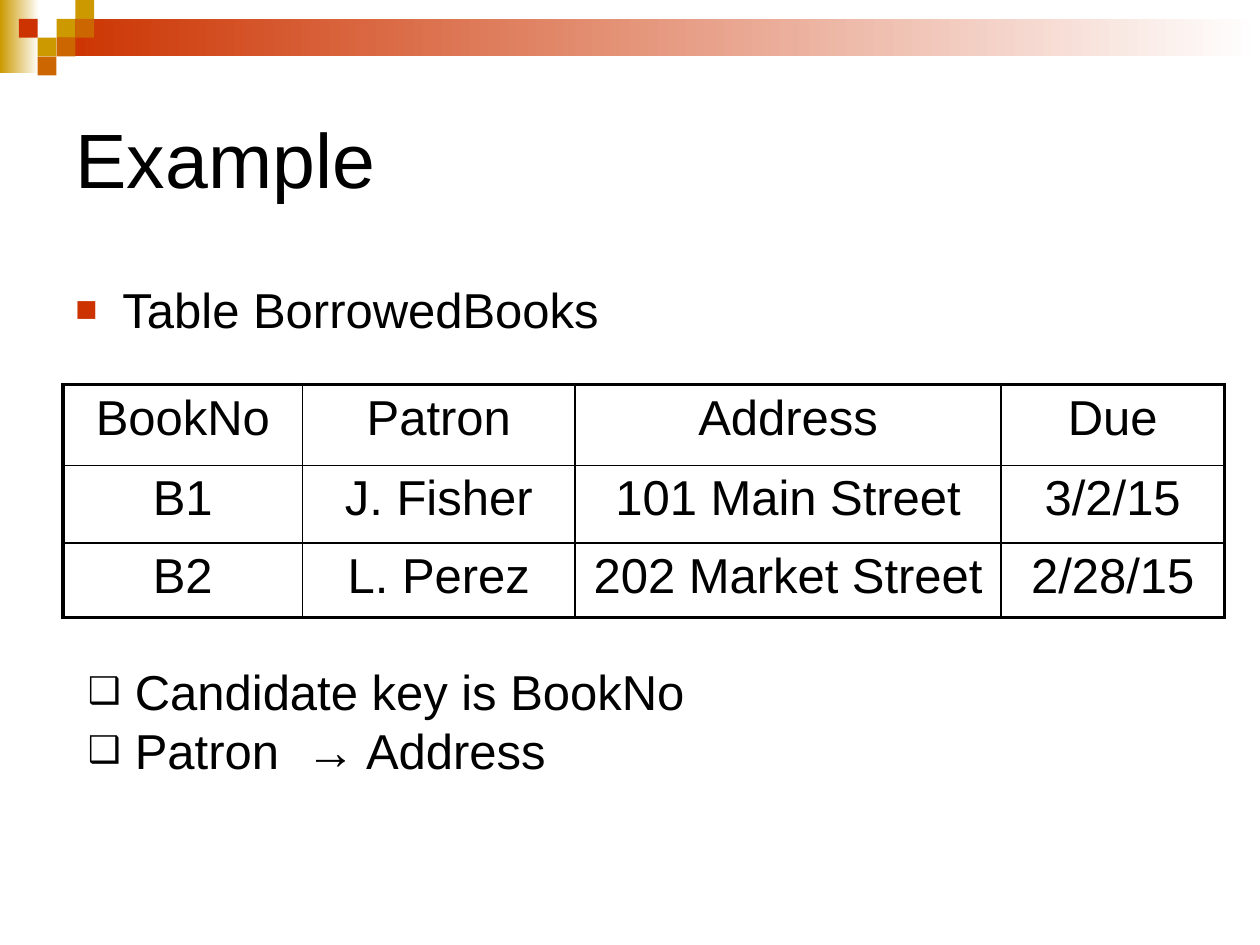
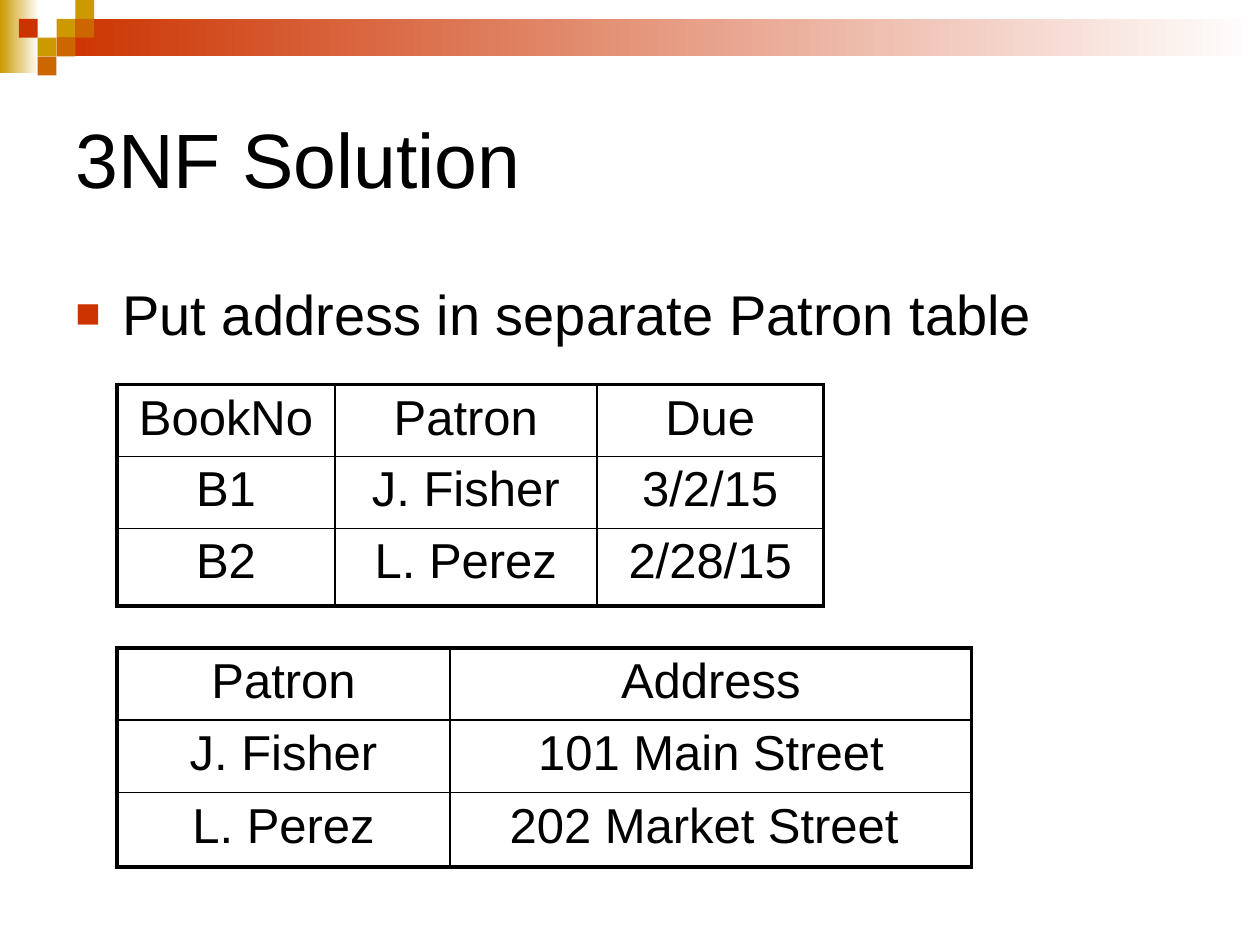
from dataclasses import dataclass

from lxml.etree import SubElement
from pptx import Presentation
from pptx.dml.color import RGBColor as RGB
from pptx.enum.shapes import MSO_SHAPE as Shape
from pptx.enum.text import MSO_ANCHOR as Anchor, PP_ALIGN as Align
from pptx.oxml import parse_xml
from pptx.oxml.ns import nsdecls, qn
from pptx.util import Cm, Pt


@dataclass(frozen=True)
class Theme:
    font: str = "Arial"
    ink: str = "000000"
    paper: str = "FFFFFF"
    gold: str = "CC9900"
    rust: str = "CC6600"
    red: str = "CC3300"
    title: int = 44
    lead: int = 32
    text: int = 28
    frame: float = 2.25
    rule: float = 1


class Deck:
    def __init__(self, theme):
        self.theme = theme
        self.prs = Presentation()
        self.prs.slide_width, self.prs.slide_height = Cm(25.4), Cm(19.05)
        self.slide = None

    def page(self, title):
        """Start a slide with its corner pattern and title."""
        self.slide = self.prs.slides.add_slide(self.prs.slide_layouts[5])
        self.header()
        box = self.slide.shapes.title
        box.left, box.top, box.width, box.height = Cm(1.27), Cm(1.27), Cm(22.86), Cm(3.81)
        frame = box.text_frame
        frame.text = title
        frame.vertical_anchor = Anchor.MIDDLE
        para = frame.paragraphs[0]
        para.alignment = Align.LEFT
        self.style(para, self.theme.title)

    def header(self):
        t, unit = self.theme, 0.38
        self.rect(0, 0, 0.79, 1.47, t.gold, fade=True)
        self.rect(3 * unit, unit, 25.4 - 3 * unit, 2 * unit, t.red, fade=True)
        # Mosaic squares as column, row, colour
        tiles = [(3, 1, t.gold), (4, 0, t.gold), (4, 1, t.rust), (2, 2, t.gold),
                 (1, 1, t.red), (3, 2, t.rust), (2, 3, t.rust)]
        for col, row, color in tiles:
            self.rect(col * unit, row * unit, unit, unit, color)

    def rect(self, x, y, w, h, color, fade=False):
        box = self.slide.shapes.add_shape(Shape.RECTANGLE, Cm(x), Cm(y), Cm(w), Cm(h))
        box.shadow.inherit = False
        box.line.fill.background()
        if fade:
            box.fill.gradient()
            box.fill.gradient_angle = 0
            for stop, tint in zip(box.fill.gradient_stops, (color, self.theme.paper)):
                stop.color.rgb = RGB.from_string(tint)
        else:
            box.fill.solid()
            box.fill.fore_color.rgb = RGB.from_string(color)

    def style(self, para, size):
        font = para.font
        font.name, font.size = self.theme.font, Pt(size)
        font.color.rgb = RGB.from_string(self.theme.ink)

    def bullets(self, x, y, w, h, items, size, mark, color=None, gap=0):
        box = self.slide.shapes.add_textbox(Cm(x), Cm(y), Cm(w), Cm(h))
        frame = box.text_frame
        frame.word_wrap = True
        frame.text = "\n".join(items)
        for para in frame.paragraphs:
            props = para._p.get_or_add_pPr()
            props.set("marL", str(Cm(0.95)))
            props.set("indent", str(Cm(-0.95)))
            if color:
                SubElement(SubElement(props, qn("a:buClr")), qn("a:srgbClr"), val=color)
            SubElement(props, qn("a:buSzPct"), val="75000")
            SubElement(props, qn("a:buFont"), typeface=self.theme.font)
            SubElement(props, qn("a:buChar"), char=mark)
            para.space_before = Pt(gap)
            self.style(para, size)

    def table(self, x, y, cols, rows, data):
        """Draw a grid with a heavy frame and thin inner rules."""
        grid = self.slide.shapes.add_table(
            len(rows), len(cols), Cm(x), Cm(y), Cm(sum(cols)), Cm(sum(rows))).table
        grid.first_row = grid.horz_banding = False
        for col, width in zip(grid.columns, cols):
            col.width = Cm(width)
        for row, height in zip(grid.rows, rows):
            row.height = Cm(height)
        for r, line in enumerate(data):
            for c, text in enumerate(line):
                cell = grid.cell(r, c)
                cell.text = text
                cell.fill.background()
                para = cell.text_frame.paragraphs[0]
                para.alignment = Align.CENTER
                self.style(para, self.theme.text)
                self.edges(cell, L=c == 0, R=c == len(cols) - 1,
                           T=r == 0, B=r == len(rows) - 1)

    def edges(self, cell, **sides):
        props = cell._tc.get_or_add_tcPr()
        for i, (side, outer) in enumerate(sides.items()):
            width = Pt(self.theme.frame if outer else self.theme.rule)
            props.insert(i, parse_xml(
                f'<a:ln{side} {nsdecls("a")} w="{width}"><a:solidFill>'
                f'<a:srgbClr val="{self.theme.ink}"/></a:solidFill></a:ln{side}>'))


def main():
    theme = Theme()
    deck = Deck(theme)

    # The table before it is split
    deck.page("Example")
    deck.bullets(1.27, 5.51, 23.4, 10.8, ["Table BorrowedBooks"],
                 theme.text, "■", theme.red, gap=3.5)
    deck.table(1.27, 7.75, [4.83, 5.49, 8.59, 4.5], [1.63, 1.57, 1.5], [
        ("BookNo", "Patron", "Address", "Due"),
        ("B1", "J. Fisher", "101 Main Street", "3/2/15"),
        ("B2", "L. Perez", "202 Market Street ", "2/28/15")])
    deck.bullets(1.52, 13.21, 20.07, 2.62,
                 ["Candidate key is BookNo", "Patron  → Address"], theme.text, "❑")

    # The two tables after the split
    deck.page("3NF Solution")
    deck.bullets(1.27, 5.51, 22.86, 10.8, ["Put address in separate Patron table"],
                 theme.lead, "■", theme.red, gap=3.5)
    deck.table(2.36, 7.75, [4.39, 5.28, 4.57], [1.45, 1.45, 1.57], [
        ("BookNo", "Patron", "Due"),
        ("B1", "J. Fisher", "3/2/15"),
        ("B2", "L. Perez", "2/28/15")])
    deck.table(2.36, 13.06, [6.71, 10.52], [1.45, 1.47, 1.5], [
        ("Patron", "Address"),
        ("J. Fisher", "101 Main Street"),
        ("L. Perez", "202 Market Street ")])

    deck.prs.save("out.pptx")


if __name__ == "__main__":
    main()
